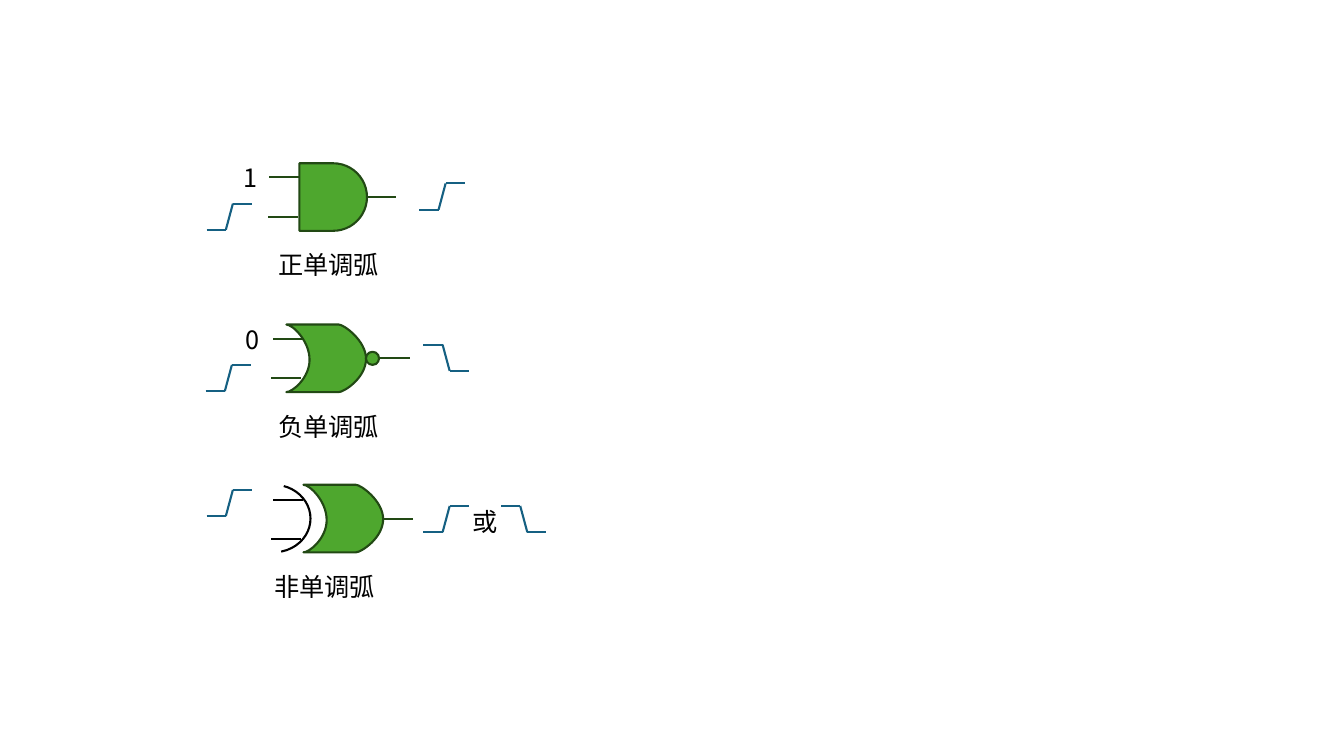
"""Draw three logic gates with the monotonicity of their timing arcs."""
import lxml.etree
import pptx
import pptx.dml.color
import pptx.enum.shapes
import pptx.enum.text
import pptx.oxml.ns
import pptx.util

PX = 9144
SHAPE = pptx.enum.shapes.MSO_SHAPE
COLORS = {"gate": "4EA72E", "outline": "224914", "edge": "156082", "ink": "000000"}
FONT = {"name": "Noto Sans CJK SC", "size": pptx.util.Pt(18)}
FRAME = {"word_wrap": False, "auto_size": pptx.enum.text.MSO_AUTO_SIZE.SHAPE_TO_FIT_TEXT}
OR_POINTS = [
    (52, 67),
    (0, 67),
    (6, 67), (23, 53), (23, 35),
    (23, 16), (6, 0), (0, 0),
    (52, 0),
    (57, 0), (79, 16), (79, 34),
    (79, 53), (57, 67), (52, 67),
]
OR_CURVE_STARTS = (1, 4, 8, 11)
LABELS = [
    ("正单调弧", 266, 242, 124),
    ("负单调弧", 266, 403, 121),
    ("非单调弧", 262, 562, 122),
    ("1", 232, 156, 34),
    ("0", 234, 317, 34),
    ("或", 459, 497, 45),
]
RISING, FALLING = -26, 26
EDGES = [
    (205, 228, RISING),
    (420, 342, FALLING),
    (416, 208, RISING),
    (204, 388, RISING),
    (205, 512, RISING),
    (420, 528, RISING),
    (497, 502, FALLING),
]


def color(key):
    """Return the named colour."""
    return pptx.dml.color.RGBColor.from_string(COLORS[key])


def apply(target, values):
    """Set each attribute of the target from a dict."""
    for name, value in values.items():
        setattr(target, name, value)


def emu(*lengths):
    """Turn px lengths into EMU."""
    return [length * PX for length in lengths]


def stroke(line, key):
    """Give a line its colour and width."""
    line.color.rgb = color(key)
    line.width = pptx.util.Pt(1.5)


def style_body(sp):
    """Give a gate part its fill and outline."""
    sp.shadow.inherit = False
    sp.fill.solid()
    sp.fill.fore_color.rgb = color("gate")
    stroke(sp.line, "outline")


def add_label(s, text, x, y, w):
    """Add one line of text."""
    tf = s.shapes.add_textbox(*emu(x, y, w, 40)).text_frame
    apply(tf, FRAME)
    r = tf.paragraphs[0].add_run()
    r.text = text
    apply(r.font, FONT)
    r.font.color.rgb = color("ink")
    ea = lxml.etree.SubElement(r.font._element, pptx.oxml.ns.qn("a:ea"))
    ea.set("typeface", FONT["name"])


def add_wire(group, key, *ends):
    """Add a straight line between two points."""
    kind = pptx.enum.shapes.MSO_CONNECTOR.STRAIGHT
    sp = group.shapes.add_connector(kind, *emu(*ends))
    stroke(sp.line, key)
    lxml.etree.SubElement(sp._element.spPr, pptx.oxml.ns.qn("a:effectLst"))


def add_lead(group, x, y, key="outline"):
    """Add a horizontal gate lead."""
    add_wire(group, key, x, y, x + 30, y)


def add_body(group, kind, x, y, size):
    """Add a square-boxed preset gate part."""
    style_body(group.shapes.add_shape(kind, *emu(x, y, size, size)))


def bend(sp, starts):
    """Merge three segments from each start into one cubic curve."""
    segments = list(sp._element.iter(pptx.oxml.ns.qn("a:lnTo")))
    for start in starts:
        curve = lxml.etree.Element(pptx.oxml.ns.qn("a:cubicBezTo"))
        segments[start].addprevious(curve)
        for segment in segments[start:start + 3]:
            curve.append(segment[0])
            segment.getparent().remove(segment)


def add_or_body(group, x, y):
    """Add the curved outline of an OR gate."""
    points = [emu(x + dx, y + dy) for dx, dy in OR_POINTS]
    builder = group.shapes.build_freeform(*points[0])
    builder.add_line_segments(points[1:], close=True)
    sp = builder.convert_to_shape()
    bend(sp, OR_CURVE_STARTS)
    style_body(sp)


def add_and_gate(s):
    """Add the AND gate."""
    group = s.shapes.add_group_shape()
    add_body(group, SHAPE.FLOWCHART_DELAY, 297, 162, 67)
    for x, y in ((267, 176), (266, 215), (363, 195)):
        add_lead(group, x, y)


def add_nor_gate(s):
    """Add the NOR gate."""
    group = s.shapes.add_group_shape()
    add_or_body(group, 284, 322)
    add_body(group, SHAPE.OVAL, 363, 349, 13)
    for x, y in ((271, 336), (269, 375), (377, 355)):
        add_lead(group, x, y)


def add_xor_gate(s):
    """Add the XOR gate."""
    group = s.shapes.add_group_shape()
    add_or_body(group, 301, 481)
    arc = group.shapes.add_shape(SHAPE.ARC, *emu(235, 481, 73, 67))
    arc.adjustments[0], arc.adjustments[1] = 172.354, 46.333
    arc.shadow.inherit = False
    arc.fill.background()
    stroke(arc.line, "ink")
    for x, y, key in ((271, 496, "ink"), (269, 535, "ink"), (380, 515, "outline")):
        add_lead(group, x, y, key)


def add_edge(s, x, y, rise):
    """Add a signal edge: level, level, slope between them."""
    group = s.shapes.add_group_shape()
    add_wire(group, "edge", x, y, x + 19, y)
    add_wire(group, "edge", x + 26, y + rise, x + 45, y + rise)
    add_wire(group, "edge", x + 19, y, x + 26, y + rise)


def main():
    """Build and save the slide."""
    prs = pptx.Presentation()
    apply(prs, dict(zip(("slide_width", "slide_height"), emu(1333, 750))))
    s = prs.slides.add_slide(prs.slide_layouts[6])
    for label in LABELS:
        add_label(s, *label)
    for add_gate in (add_and_gate, add_nor_gate, add_xor_gate):
        add_gate(s)
    for edge in EDGES:
        add_edge(s, *edge)
    prs.save("out.pptx")


if __name__ == "__main__":
    main()
